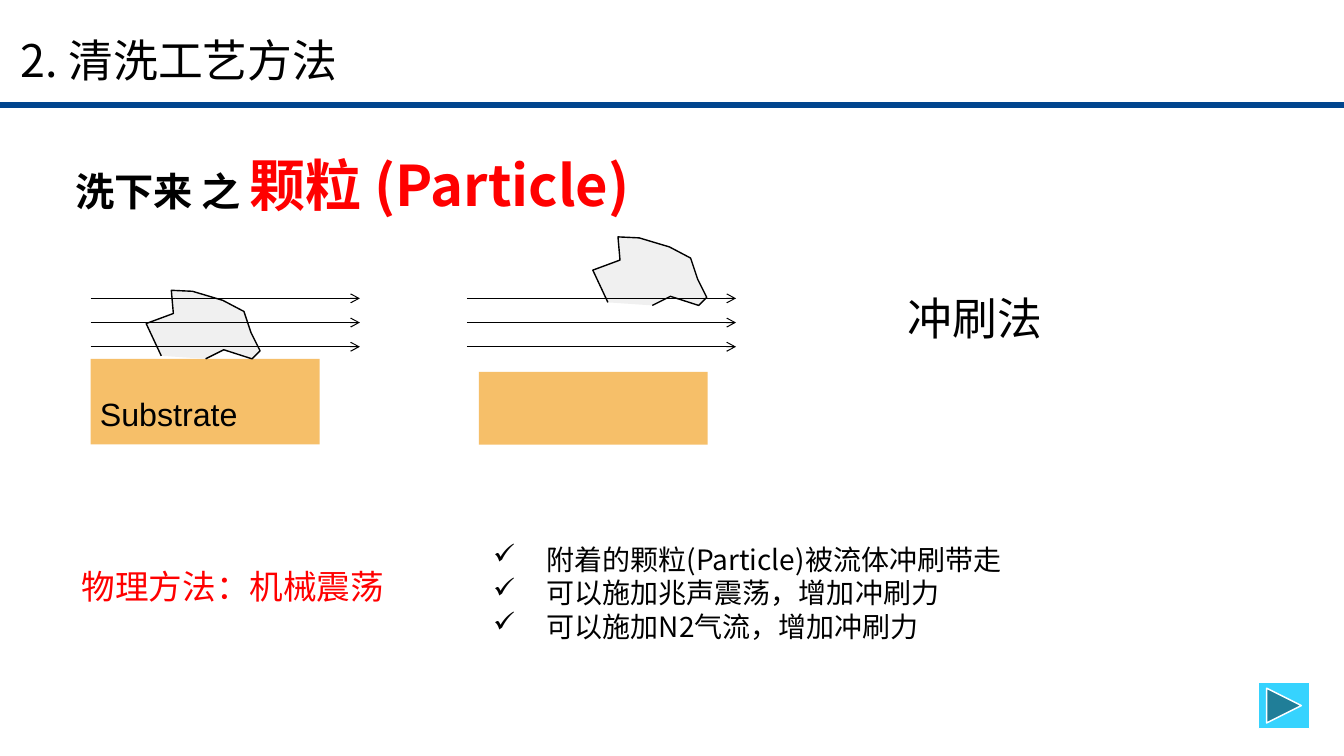
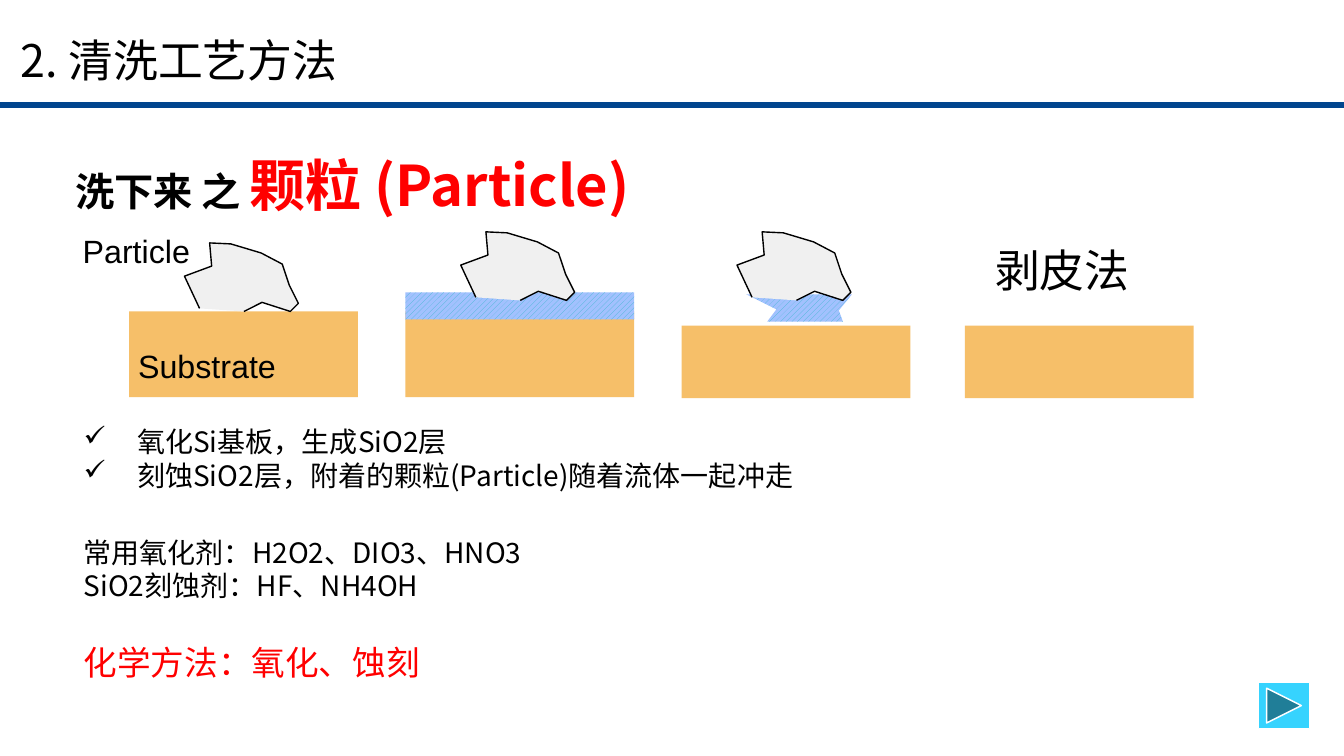
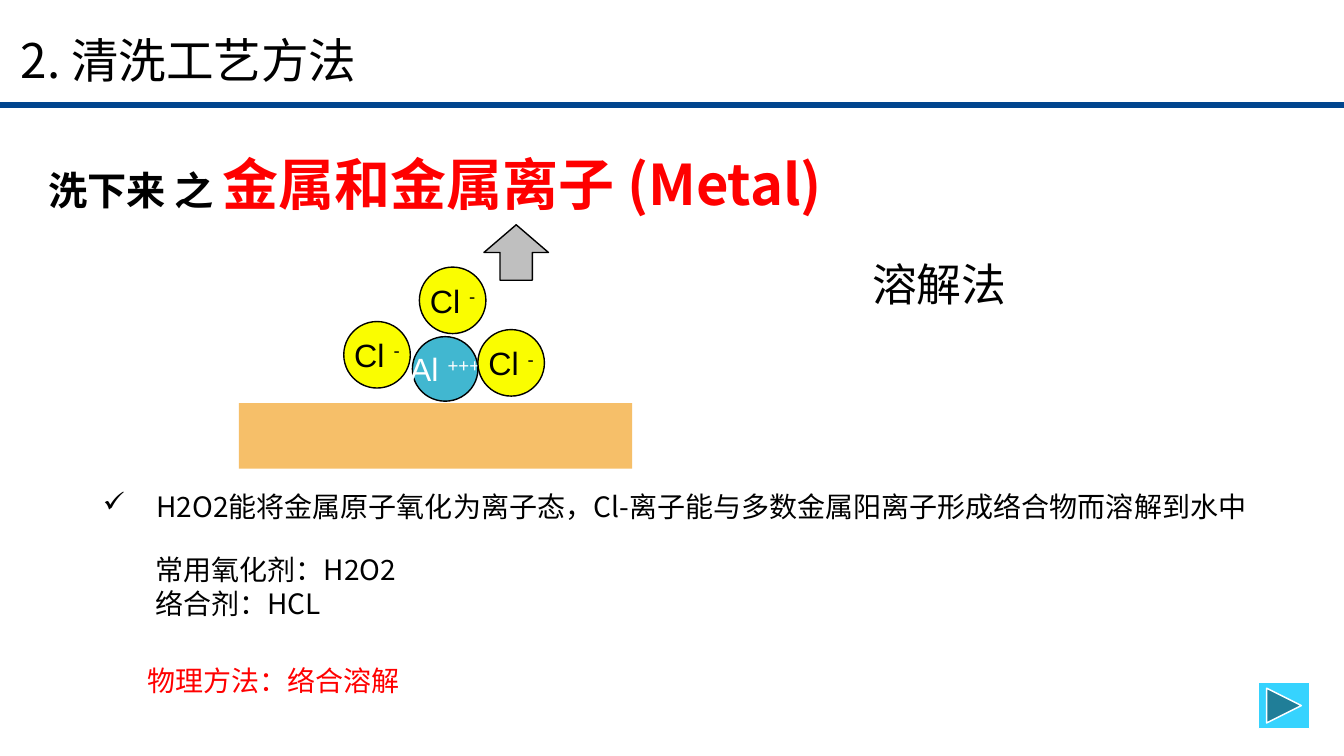
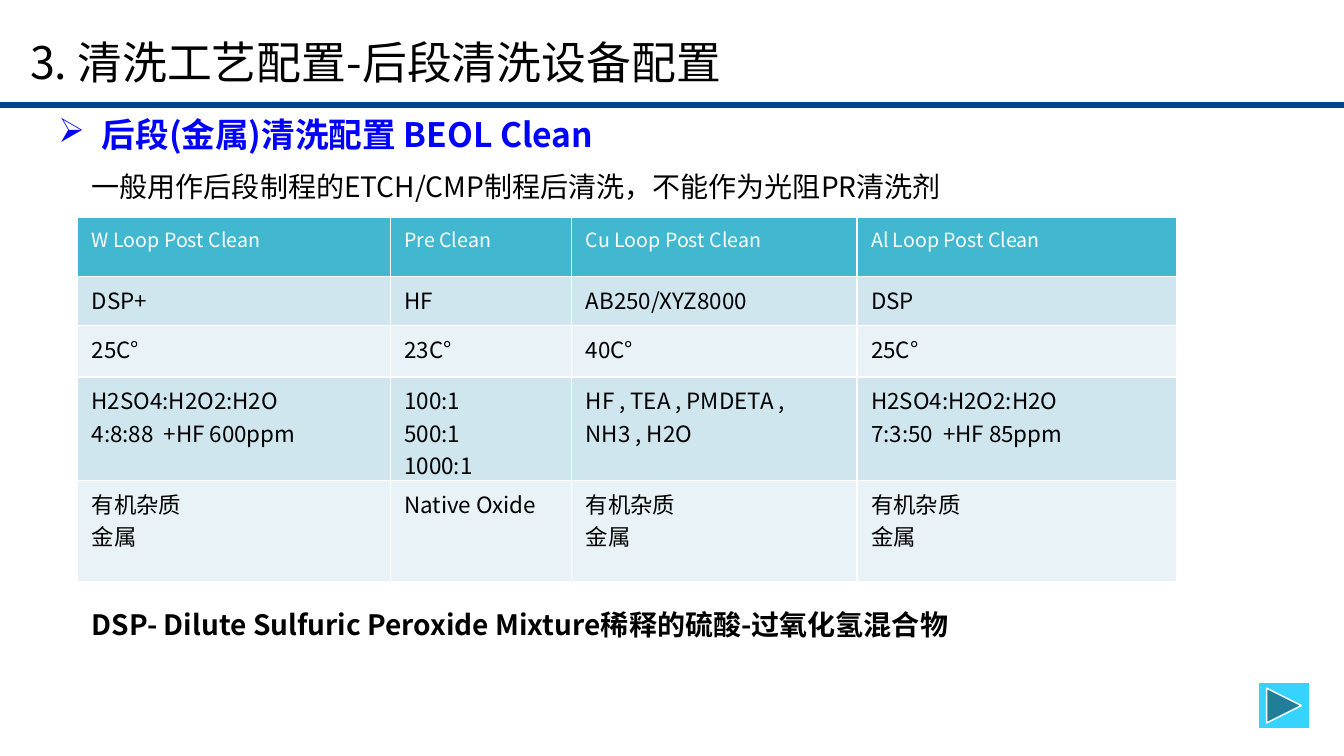
from dataclasses import dataclass

from lxml import etree
from pptx import Presentation
from pptx.dml.color import RGBColor
from pptx.enum.dml import MSO_PATTERN
from pptx.enum.shapes import MSO_CONNECTOR, MSO_SHAPE
from pptx.enum.text import MSO_ANCHOR, MSO_AUTO_SIZE, PP_ALIGN
from pptx.oxml.ns import qn
from pptx.util import Inches, Pt

RECTANGLE = MSO_SHAPE.RECTANGLE
OVAL = MSO_SHAPE.OVAL
UP_ARROW = MSO_SHAPE.UP_ARROW
NEXT_BUTTON = MSO_SHAPE.ACTION_BUTTON_FORWARD_OR_NEXT
STRAIGHT = MSO_CONNECTOR.STRAIGHT
DIAGONAL = MSO_PATTERN.WIDE_UPWARD_DIAGONAL
MIDDLE = MSO_ANCHOR.MIDDLE
CENTER = PP_ALIGN.CENTER
FIT_TEXT = MSO_AUTO_SIZE.SHAPE_TO_FIT_TEXT


@dataclass(frozen=True)
class Theme:
    body_font: str = "Noto Sans CJK SC"
    label_font: str = "Arial"
    black: str = "000000"
    white: str = "FFFFFF"
    red: str = "FF0000"
    blue: str = "0000FF"
    rule: str = "01458E"
    button: str = "36D3FE"
    substrate: str = "F6BF69"
    particle: str = "F0F0F0"
    oxide: str = "A2C1FE"
    accent: str = "41B7D0"
    chloride: str = "FAFD00"
    arrow: str = "BFBFBF"
    dark_row: str = "CFE6EE"
    light_row: str = "E9F3F7"
    title: int = 32
    lead: int = 28
    topic: int = 40
    method: int = 24
    body: int = 20
    label: int = 23
    table_head: int = 14
    table_body: int = 16


THEME = Theme()
HUNDREDTH = Inches(0.01)
SUBSTRATE_WIDTH = 2.27
BULLET_INDENT = 0.53
PARTICLE_OUTLINE = [
    (15, 65), (0, 33), (27, 23), (25, 0), (46, 1), (76, 10),
    (97, 21), (104, 42), (113, 60), (105, 68), (77, 59), (59, 68),
]
RESIDUE_OUTLINE = [(0, 0), (105, 0), (92, 16), (96, 27), (21, 27), (30, 15)]
CLEAN_COLUMNS = [3.1, 1.8, 2.83, 3.17]
CLEAN_HEIGHTS = [0.58, 0.49, 0.51, 1.03, 1]
CLEAN_ROWS = [
    ["W Loop Post Clean", "Pre Clean", "Cu Loop Post Clean", "Al Loop Post Clean"],
    ["DSP+", "HF", "AB250/XYZ8000", "DSP"],
    ["25C°", "23C°", "40C°", "25C°"],
    [
        "H2SO4:H2O2:H2O\n4:8:88  +HF 600ppm",
        "100:1\n500:1\n1000:1",
        "HF , TEA , PMDETA , NH3 , H2O",
        "H2SO4:H2O2:H2O\n7:3:50  +HF 85ppm",
    ],
    ["有机杂质\n金属", "Native Oxide", "有机杂质\n金属", "有机杂质\n金属"],
]


def rgb(color):
    return RGBColor.from_string(color)


def inches(values):
    return [Inches(value) for value in values]


def style_font(font, size, color=THEME.black, bold=False, name=THEME.body_font):
    font.size = Pt(size)
    font.bold = bold
    font.color.rgb = rgb(color)
    font.name = name
    etree.SubElement(font._element, qn("a:ea"), typeface=name)


def set_insets(target, across, down):
    target.margin_left = target.margin_right = Inches(across)
    target.margin_top = target.margin_bottom = Inches(down)


def add_bullet(para, mark, indent):
    properties = para._p.get_or_add_pPr()
    properties.set("marL", str(Inches(indent)))
    properties.set("indent", str(-Inches(indent)))
    etree.SubElement(properties, qn("a:buChar"), char=mark)


def write_lines(frame, lines, size, mark=None, indent=BULLET_INDENT, **style):
    for number, line in enumerate(lines):
        para = frame.add_paragraph() if number else frame.paragraphs[0]
        para.text = line
        if mark:
            add_bullet(para, mark, indent)
        style_font(para.font, size, **style)


def add_box(slide, place, wrap=False):
    frame = slide.shapes.add_textbox(*inches(place)).text_frame
    frame.word_wrap = wrap
    frame.auto_size = FIT_TEXT
    set_insets(frame, 0.14, 0.07)
    return frame


def add_text(slide, place, lines, size=THEME.body, wrap=False, **style):
    frame = add_box(slide, place, wrap)
    write_lines(frame, lines, size, **style)
    return frame


def add_label(slide, place, text):
    add_text(slide, place, [text], THEME.label, name=THEME.label_font)


def add_method_name(slide, left, top, text):
    add_text(slide, (left, top, 1.63, 0.68), [text], THEME.title)


def add_heading(slide, place, topic):
    para = add_box(slide, place).paragraphs[0]
    para.line_spacing = 1.5
    for text, size, color in [
        ("洗下来 之 ", THEME.lead, THEME.black),
        (topic, THEME.topic, THEME.red),
    ]:
        run = para.add_run()
        run.text = text
        style_font(run.font, size, color, bold=True)


def paint(shape, fill, line=None):
    shape.shadow.inherit = False
    shape.fill.solid()
    shape.fill.fore_color.rgb = rgb(fill)
    if line:
        shape.line.color.rgb = rgb(line)
        shape.line.width = Pt(1)
    else:
        shape.line.fill.background()


def add_shape(slide, kind, place, fill, line=None):
    shape = slide.shapes.add_shape(kind, *inches(place))
    paint(shape, fill, line)
    return shape


def paint_oxide(shape):
    paint(shape, THEME.oxide)
    shape.fill.patterned()
    shape.fill.pattern = DIAGONAL
    shape.fill.fore_color.rgb = rgb(THEME.accent)
    shape.fill.back_color.rgb = rgb(THEME.oxide)


def add_outline(slide, left, top, points, close):
    builder = slide.shapes.build_freeform(*points[0], scale=HUNDREDTH)
    builder.add_line_segments(points[1:], close=close)
    return builder.convert_to_shape(Inches(left), Inches(top))


def add_particle(slide, left, top):
    particle = add_outline(slide, left, top, PARTICLE_OUTLINE, close=False)
    paint(particle, THEME.particle, THEME.black)


def add_substrate(slide, left, top, height, width=SUBSTRATE_WIDTH):
    add_shape(slide, RECTANGLE, (left, top, width, height), THEME.substrate)


def add_line(slide, left, right, level, color, width, arrow=False):
    line = slide.shapes.add_connector(STRAIGHT, *inches((left, level, right, level)))
    line.line.color.rgb = rgb(color)
    line.line.width = Pt(width)
    properties = line._element.spPr
    if arrow:
        etree.SubElement(properties.find(qn("a:ln")), qn("a:tailEnd"), type="arrow")
    etree.SubElement(properties, qn("a:effectLst"))


def add_flow(slide, left):
    for step in range(3):
        add_line(slide, left, left + 2.67, 2.96 + 0.24 * step, THEME.black, 0.75, arrow=True)


def add_ion(slide, place, symbol, charge, fill, color):
    ion = add_shape(slide, OVAL, place, fill, THEME.black)
    frame = ion.text_frame
    frame.word_wrap = False
    frame.vertical_anchor = MIDDLE
    set_insets(frame, 0.1, 0.05)
    para = frame.paragraphs[0]
    para.alignment = CENTER
    para.add_run().text = symbol + " "
    sign = para.add_run()
    sign.text = charge
    sign.font._element.set("baseline", "30000")
    style_font(para.font, THEME.label, color, name=THEME.label_font)


def border_cell(cell):
    properties = cell._tc.get_or_add_tcPr()
    for position, side in enumerate(("lnL", "lnR", "lnT", "lnB")):
        border = etree.Element(qn("a:" + side), w=str(Pt(1)))
        fill = etree.SubElement(border, qn("a:solidFill"))
        etree.SubElement(fill, qn("a:srgbClr"), val=THEME.white)
        properties.insert(position, border)


def add_clean_table(slide):
    place = (0.77, 2.16, sum(CLEAN_COLUMNS), sum(CLEAN_HEIGHTS))
    table = slide.shapes.add_table(
        len(CLEAN_ROWS), len(CLEAN_COLUMNS), *inches(place)
    ).table
    for column, width in zip(table.columns, CLEAN_COLUMNS):
        column.width = Inches(width)
    for number, (row, height, texts) in enumerate(
        zip(table.rows, CLEAN_HEIGHTS, CLEAN_ROWS)
    ):
        row.height = Inches(height)
        if number == 0:
            fill, size, color = THEME.accent, THEME.table_head, THEME.white
        else:
            fill = THEME.dark_row if number % 2 else THEME.light_row
            size, color = THEME.table_body, THEME.black
        for cell, text in zip(row.cells, texts):
            set_insets(cell, 0.14, 0.07)
            cell.fill.solid()
            cell.fill.fore_color.rgb = rgb(fill)
            border_cell(cell)
            write_lines(cell.text_frame, text.split("\n"), size, color=color)


def add_page(deck, title, left=0.11, top=0.3, size=THEME.title):
    page = deck.slides.add_slide(deck.slide_layouts[6])
    add_line(page, 0, 13.33, 1.04, THEME.rule, 4.5)
    frame = page.shapes.add_textbox(*inches((left, top, 12.8, 0.65))).text_frame
    frame.word_wrap = True
    frame.vertical_anchor = MIDDLE
    set_insets(frame, 0.1, 0.05)
    write_lines(frame, [title], size)
    frame.paragraphs[0].line_spacing = 0.9
    add_shape(page, NEXT_BUTTON, (12.48, 6.77, 0.51, 0.46), THEME.button, THEME.white)
    return page


def build_flushing(deck):
    page = add_page(deck, "2. 清洗工艺方法")
    add_heading(page, (0.61, 1.09, 5.93, 1.03), "颗粒 (Particle)")
    add_substrate(page, 0.9, 3.56, 0.85)
    add_substrate(page, 4.75, 3.69, 0.72)
    add_particle(page, 1.45, 2.88)
    add_particle(page, 5.88, 2.35)
    add_flow(page, 0.9)
    add_flow(page, 4.63)
    add_label(page, (0.85, 3.84, 1.67, 0.53), "Substrate")
    add_method_name(page, 8.86, 2.81, "冲刷法")
    add_text(page, (0.67, 5.54, 3.32, 0.55), ["物理方法：机械震荡"],
             THEME.method, color=THEME.red)
    add_text(page, (4.75, 5.31, 7.05, 1.15), [
        "附着的颗粒(Particle)被流体冲刷带走",
        "可以施加兆声震荡，增加冲刷力",
        "可以施加N2气流，增加冲刷力",
    ], wrap=True, mark="✓")


def build_peeling(deck):
    page = add_page(deck, "2. 清洗工艺方法")
    add_heading(page, (0.61, 1.09, 5.93, 1.03), "颗粒 (Particle)")
    for left, top, height in [
        (1.28, 3.09, 0.85), (4.02, 3.09, 0.85), (6.76, 3.23, 0.72), (9.57, 3.23, 0.72),
    ]:
        add_substrate(page, left, top, height)
    paint_oxide(page.shapes.add_shape(
        RECTANGLE, *inches((4.02, 2.9, SUBSTRATE_WIDTH, 0.27))))
    paint_oxide(add_outline(page, 7.4, 2.92, RESIDUE_OUTLINE, close=True))
    for left, top in [(1.83, 2.41), (4.57, 2.3), (7.31, 2.3)]:
        add_particle(page, left, top)
    add_label(page, (1.23, 3.37, 1.67, 0.53), "Substrate")
    add_label(page, (0.68, 2.23, 1.36, 0.53), "Particle")
    add_method_name(page, 9.73, 2.34, "剥皮法")
    add_text(page, (0.69, 4.14, 11.7, 0.82), [
        "氧化Si基板，生成SiO2层",
        "刻蚀SiO2层，附着的颗粒(Particle)随着流体一起冲走",
    ], wrap=True, mark="✓")
    frame = add_text(page, (0.69, 5.24, 4.83, 1.62), [
        "常用氧化剂：H2O2、DIO3、HNO3",
        "SiO2刻蚀剂：HF、NH4OH",
    ], wrap=True)
    method = frame.add_paragraph()
    method.text = "化学方法：氧化、蚀刻"
    method.space_before = Pt(28)
    style_font(method.font, THEME.method, THEME.red)


def build_dissolving(deck):
    page = add_page(deck, "2. 清洗工艺方法", size=34)
    add_heading(page, (0.34, 1.08, 8.25, 1.03), "金属和金属离子 (Metal)")
    add_substrate(page, 2.37, 4, 0.65, width=3.9)
    add_ion(page, (4.09, 3.34, 0.65, 0.64), "Al", "+++", THEME.accent, THEME.white)
    for left, top in [(3.41, 3.19), (4.16, 2.65), (4.74, 3.27)]:
        add_ion(page, (left, top, 0.66, 0.66), "Cl", "-", THEME.chloride, THEME.black)
    add_shape(page, UP_ARROW, (4.8, 2.23, 0.64, 0.55), THEME.arrow, THEME.black)
    add_method_name(page, 8.51, 2.48, "溶解法")
    add_text(page, (0.88, 4.79, 11.7, 0.48), [
        "H2O2能将金属原子氧化为离子态，Cl-离子能与多数金属阳离子形成络合物而溶解到水中",
    ], wrap=True, mark="✓")
    add_text(page, (1.4, 5.41, 7.11, 0.82), ["常用氧化剂：H2O2", "络合剂：HCL"], wrap=True)
    add_text(page, (1.32, 6.51, 11.59, 0.48), ["物理方法：络合溶解"],
             wrap=True, color=THEME.red)


def build_configuration(deck):
    page = add_page(deck, "3. 清洗工艺配置-后段清洗设备配置", left=0.2, top=0.32)
    add_text(page, (0.44, 1.06, 12.8, 0.55), ["后段(金属)清洗配置 BEOL Clean"],
             THEME.method, wrap=True, mark="➢", indent=0.43, color=THEME.blue, bold=True)
    add_text(page, (0.77, 1.61, 9.87, 0.48), [
        "一般用作后段制程的ETCH/CMP制程后清洗，不能作为光阻PR清洗剂",
    ], wrap=True)
    add_clean_table(page)
    add_text(page, (0.77, 5.96, 9.08, 0.48), [
        "DSP- Dilute Sulfuric Peroxide Mixture稀释的硫酸-过氧化氢混合物",
    ], bold=True)


def main():
    deck = Presentation()
    deck.slide_width, deck.slide_height = inches((13.33, 7.5))
    build_flushing(deck)
    build_peeling(deck)
    build_dissolving(deck)
    build_configuration(deck)
    deck.save("out.pptx")


if __name__ == "__main__":
    main()
